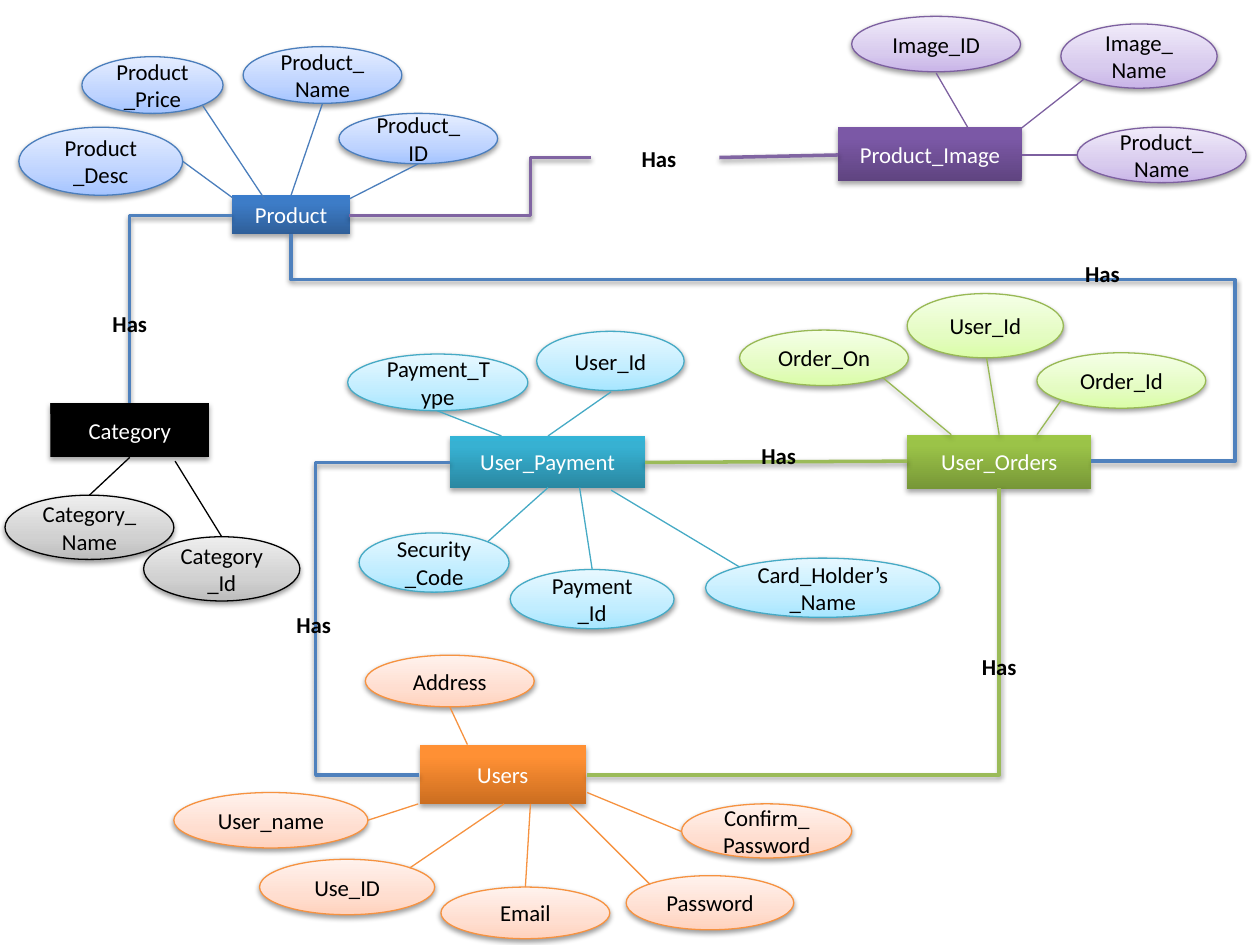
"""Entity-relationship diagram of an online shop's database."""
from copy import deepcopy

from lxml import etree
from pptx import Presentation
from pptx.dml.color import RGBColor
from pptx.enum.shapes import MSO_CONNECTOR, MSO_SHAPE
from pptx.enum.text import MSO_ANCHOR, PP_ALIGN
from pptx.oxml.ns import qn
from pptx.util import Inches, Pt

RECTANGLE, OVAL = MSO_SHAPE.RECTANGLE, MSO_SHAPE.OVAL
STRAIGHT, ELBOW = MSO_CONNECTOR.STRAIGHT, MSO_CONNECTOR.ELBOW
MIDDLE, CENTER = MSO_ANCHOR.MIDDLE, PP_ALIGN.CENTER

COLORS = {
    "white": "FFFFFF", "black": "000000",
    "blue link": "4F81BD", "purple link": "8064A2", "green link": "9BBB59",
    "blue": {"entity": ["2F5F99", "3D7CC7", "3A7CCB"], "line": "4B7EBC",
             "attribute": ["A4C4FF", "BFD4FF", "E6EEFF"]},
    "purple": {"entity": ["5F4480", "7B58A6", "7C57A8"], "line": "7D60A0",
               "attribute": ["C9B5E8", "D8CBEE", "F0EAF9"]},
    "teal": {"entity": ["2A88A2", "37B1D2", "34B4D6"], "line": "46AAC5",
             "attribute": ["A7E6FF", "C1EDFF", "E7F8FF"]},
    "orange": {"entity": ["CC6E20", "FF9034", "FF9136"], "line": "F69240",
               "attribute": ["FFD2BD", "FFDED0", "FFF2ED"]},
    "green": {"entity": ["779737", "9BC348", "9DC746"], "line": "98B955",
              "attribute": ["DAFDA7", "E4FCC2", "F5FFE7"]},
    "gray": {"entity": ["000000"] * 3, "line": "000000",
             "attribute": ["BDBDBD", "D1D1D1", "EEEEEE"]},
}
LABEL_FONT = {"name": "Calibri", "size": Pt(13)}

ENTITIES = [
    ("Product", "blue", (1.84, 1.55, 0.94, 0.31), [
        ("Product\n_Desc", (0.15, 1.01, 1.3, 0.54), (1.45, 1.28, 1.86, 1.58)),
        ("Product_Name", (1.93, 0.37, 1.26, 0.45), (2.56, 0.82, 2.31, 1.55)),
        ("Product_ID", (2.69, 0.9, 1.26, 0.4), (3.32, 1.3, 2.77, 1.58)),
        ("Product_Price", (0.65, 0.45, 1.12, 0.45), (1.61, 0.84, 2.1, 1.58)),
    ]),
    ("Product_Image", "purple", (6.65, 1.01, 1.46, 0.43), [
        ("Image_ID", (6.76, 0.13, 1.34, 0.44), (7.43, 0.58, 7.68, 1.01)),
        ("Image_\nName", (8.42, 0.19, 1.24, 0.51), (8.6, 0.63, 8.09, 1.03)),
        ("Product_\nName", (8.55, 1.01, 1.34, 0.44), (8.55, 1.23, 8.11, 1.23)),
    ]),
    ("User_Payment", "teal", (3.57, 3.46, 1.55, 0.41), [
        ("Card_Holder’s_Name", (5.6, 4.43, 1.86, 0.47), (5.87, 4.5, 4.85, 3.89)),
        ("Security_Code", (2.85, 4.23, 1.19, 0.47), (3.87, 4.3, 4.35, 3.87)),
        ("Payment_Type", (2.76, 2.81, 1.43, 0.45), (3.47, 3.26, 3.98, 3.46)),
        ("User_Id", (4.26, 2.63, 1.17, 0.47), (4.85, 3.11, 4.35, 3.46)),
        ("Payment_Id", (4.05, 4.52, 1.3, 0.47), (4.7, 4.52, 4.6, 3.87)),
    ]),
    ("Users", "orange", (3.33, 5.91, 1.32, 0.47), [
        ("Password", (4.97, 6.95, 1.33, 0.43), (5.16, 7.02, 4.52, 6.38)),
        ("Use_ID", (2.06, 6.82, 1.39, 0.44), (3.25, 6.89, 4, 6.38)),
        ("User_name", (1.38, 6.29, 1.54, 0.44), (3.32, 6.38, 2.92, 6.51)),
        ("Email", (3.5, 7.04, 1.34, 0.41), (4.17, 7.04, 4.21, 6.38)),
        ("Address", (2.9, 5.2, 1.34, 0.41), (3.57, 5.61, 3.71, 5.91)),
        ("Confirm_Password", (5.41, 6.38, 1.35, 0.43), (5.41, 6.6, 4.66, 6.29)),
    ]),
    ("User_Orders", "green", (7.2, 3.45, 1.46, 0.43), [
        ("Order_On", (5.87, 2.62, 1.34, 0.44), (7.01, 3, 7.55, 3.45)),
        ("User_Id", (7.2, 2.33, 1.24, 0.51), (7.83, 2.84, 7.93, 3.45)),
        ("Order_Id", (8.23, 2.8, 1.34, 0.44), (8.42, 3.18, 8.23, 3.45)),
    ]),
    ("Category", "gray", (0.4, 3.2, 1.26, 0.43), [
        ("Category_Name", (0.04, 3.93, 1.34, 0.51), (0.71, 3.93, 1.03, 3.63)),
        ("Category_Id", (1.14, 4.26, 1.24, 0.51), (1.76, 4.26, 1.39, 3.66)),
    ]),
]
RELATIONSHIPS = [
    ("purple link", (5.71, 1.25, 6.65, 1.23), "line", []),
    ("purple link", (4.69, 1.25, 2.77, 1.71), "bentConnector3", [0.25]),
    ("blue link", (8.66, 3.66, 2.31, 1.86), "bentConnector4", [-0.18, 0.8]),
    ("green link", (7.2, 3.66, 5.12, 3.67), "line", []),
    ("blue link", (3.57, 3.67, 3.33, 6.15), "bentConnector3", [4.43]),
    ("green link", (4.66, 6.15, 7.93, 3.87), "bentConnector2", []),
    ("blue link", (1.84, 1.71, 1.03, 3.2), "bentConnector2", []),
]
HAS_POSITIONS = [(4.6, 1.1), (8.12, 2.01), (5.55, 3.46), (1.86, 4.8),
                 (7.3, 5.13), (0.4, 2.41)]


def add_effects(item, opacity=None, distance=1.6):
    effects = etree.SubElement(item._element.spPr, qn("a:effectLst"))
    if opacity:
        shadow = etree.SubElement(
            effects, qn("a:outerShdw"), blurRad=str(Pt(3.1)),
            dist=str(Pt(distance)), dir="5400000", rotWithShape="0")
        tint = etree.SubElement(shadow, qn("a:srgbClr"), val=COLORS["black"])
        etree.SubElement(tint, qn("a:alpha"), val=str(opacity * 1000))


def write_label(frame, label, color, bold=False):
    frame.word_wrap = True
    frame.text = label
    for paragraph in frame.paragraphs:
        paragraph.alignment = CENTER
        for key, value in {**LABEL_FONT, "bold": bold}.items():
            setattr(paragraph.font, key, value)
        paragraph.font.color.rgb = RGBColor.from_string(COLORS[color])


prs = Presentation()
prs.slide_width, prs.slide_height = Inches(10), Inches(7.5)
slide = prs.slides.add_slide(prs.slide_layouts[6])

for entity, family, entity_box, attributes in ENTITIES:
    palette = COLORS[family]
    line_color = RGBColor.from_string(palette["line"])
    nodes = [(entity, entity_box, "entity")]
    nodes += [(name, box, "attribute") for name, box, _ in attributes]
    for name, box, role in nodes:
        is_entity = role == "entity"
        node = slide.shapes.add_shape(
            RECTANGLE if is_entity else OVAL, *map(Inches, box))
        node.fill.gradient()
        node.fill.gradient_angle = 90
        stops = node._element.spPr.find(".//" + qn("a:gsLst"))
        stops.append(deepcopy(stops[-1]))
        positions = (0, 0.8, 1) if is_entity else (0, 0.35, 1)
        for stop, position, color in zip(
                node.fill.gradient_stops, positions, palette[role]):
            stop.position = position
            stop.color.rgb = RGBColor.from_string(color)
        if is_entity:
            node.line.fill.background()
            add_effects(node, 35, 1.8)
        else:
            node.line.color.rgb = line_color
            node.line.width = Pt(0.75)
            add_effects(node, 38)
        node.text_frame.vertical_anchor = MIDDLE
        write_label(node.text_frame, name, "white" if is_entity else "black")
    for _, _, ends in attributes:
        spoke = slide.shapes.add_connector(STRAIGHT, *map(Inches, ends))
        spoke.line.color.rgb = line_color
        spoke.line.width = Pt(0.75)
        add_effects(spoke, 38 if family == "green" else None)

for color, ends, route, bends in RELATIONSHIPS:
    relationship = slide.shapes.add_connector(
        STRAIGHT if route == "line" else ELBOW, *map(Inches, ends))
    geometry = relationship._element.spPr.find(qn("a:prstGeom"))
    geometry.set("prst", route)
    guides = geometry.find(qn("a:avLst"))
    for number, bend in enumerate(bends, 1):
        etree.SubElement(guides, qn("a:gd"), name=f"adj{number}",
                         fmla=f"val {round(bend * 100000)}")
    relationship.line.color.rgb = RGBColor.from_string(COLORS[color])
    relationship.line.width = Pt(2)
    add_effects(relationship, 38)

for left, top in HAS_POSITIONS:
    has = slide.shapes.add_textbox(
        Inches(left), Inches(top), Inches(1.26), Inches(0.32))
    write_label(has.text_frame, "Has", "black", bold=True)

prs.save("out.pptx")
